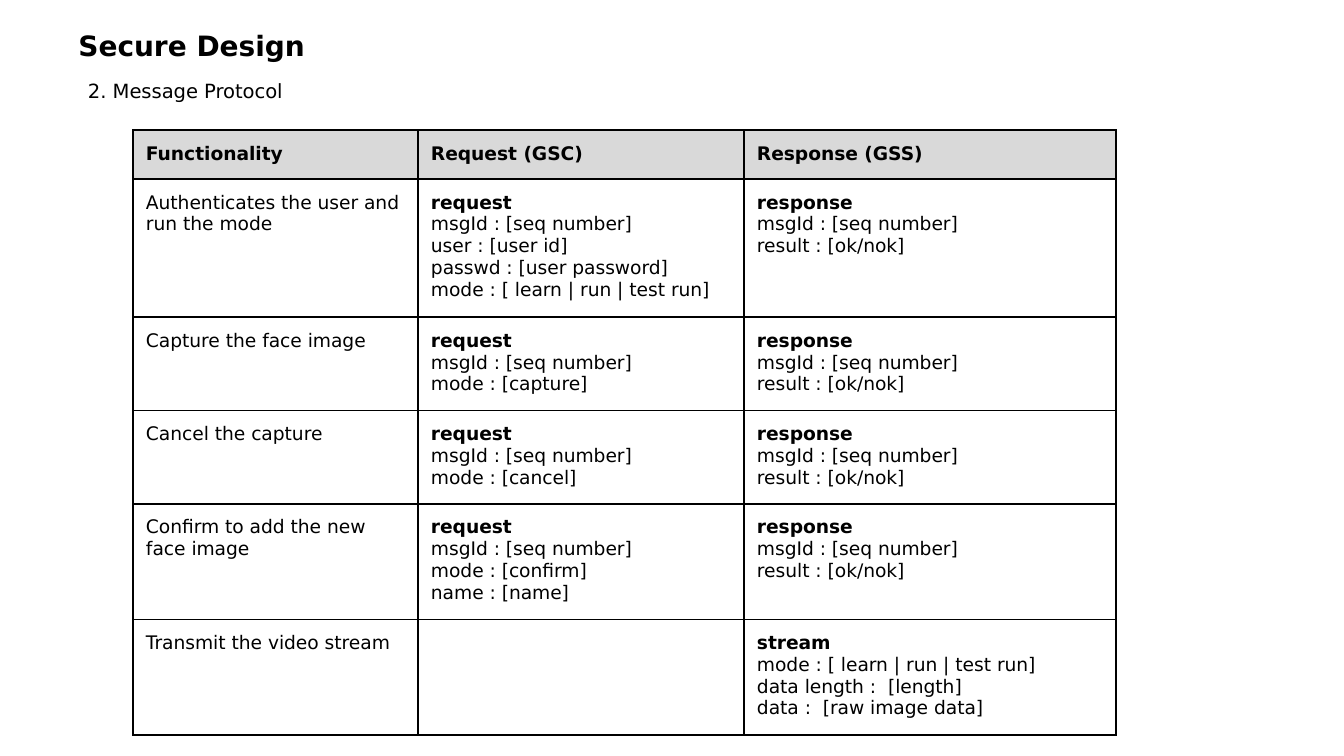
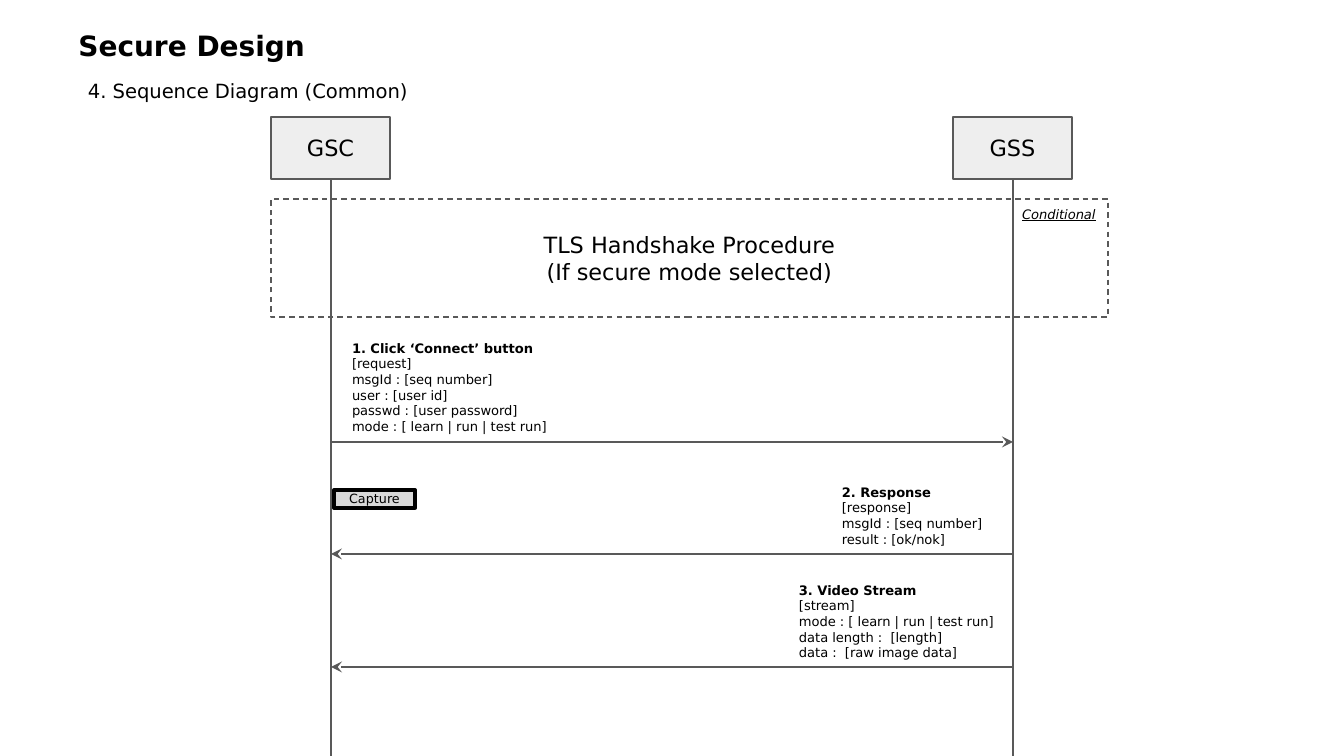
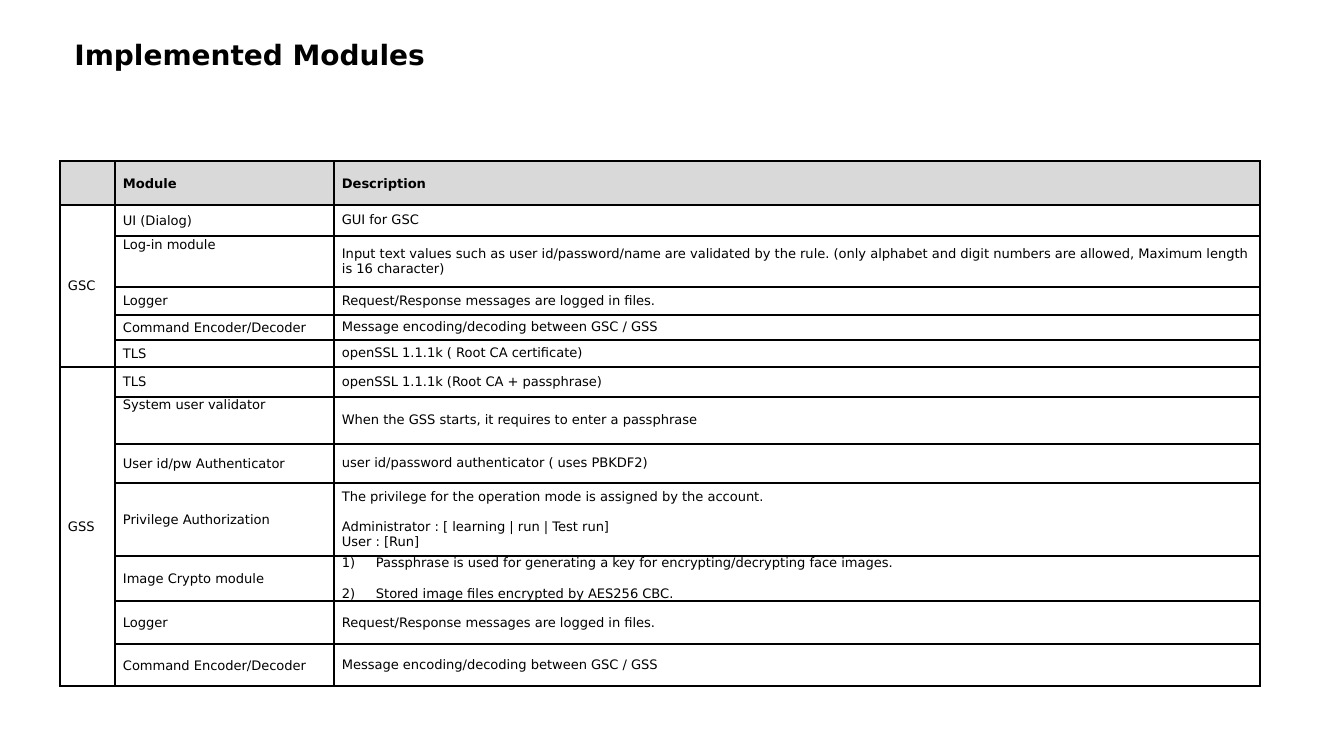
from lxml.etree import SubElement
from pptx import Presentation
from pptx.dml.color import RGBColor
from pptx.enum.dml import MSO_LINE
from pptx.enum.shapes import MSO_CONNECTOR, MSO_SHAPE
from pptx.enum.text import MSO_ANCHOR, MSO_AUTO_SIZE, PP_ALIGN
from pptx.oxml.ns import qn
from pptx.util import Emu, Pt

PIXELS_PER_INCH = 134.4
SLIDE_WIDTH, SLIDE_HEIGHT = 1344, 756
FONT = "DejaVu Sans"
BLACK = RGBColor(0x00, 0x00, 0x00)
WHITE = RGBColor(0xFF, 0xFF, 0xFF)
HEADER_GRAY = RGBColor(0xD9, 0xD9, 0xD9)
BOX_GRAY = RGBColor(0xEE, 0xEE, 0xEE)
LINE_GRAY = RGBColor(0x59, 0x59, 0x59)
WIDE_INSETS = (13, 13, 13, 13)
TIGHT_INSETS = (8, 0, 8, 0)
TITLE_ONLY_LAYOUT = 5

MESSAGE_ID = "msgId : [seq number]"
CONNECT_FIELDS = [MESSAGE_ID, "user : [user id]", "passwd : [user password]",
                  "mode : [ learn | run | test run]"]
REPLY_FIELDS = [MESSAGE_ID, "result : [ok/nok]"]
STREAM_FIELDS = ["mode : [ learn | run | test run]", "data length :  [length]",
                 "data :  [raw image data]"]
RESPONSE = ["response"] + REPLY_FIELDS

PROTOCOL_HEADER = ["Functionality", "Request (GSC)", "Response (GSS)"]
PROTOCOL_ROWS = [
    ("Authenticates the user and run the mode", ["request"] + CONNECT_FIELDS, RESPONSE),
    ("Capture the face image", ["request", MESSAGE_ID, "mode : [capture]"], RESPONSE),
    ("Cancel the capture", ["request", MESSAGE_ID, "mode : [cancel]"], RESPONSE),
    ("Confirm to add the new face image",
     ["request", MESSAGE_ID, "mode : [confirm]", "name : [name]"], RESPONSE),
    ("Transmit the video stream", [], ["stream"] + STREAM_FIELDS),
]

COMMON_MODULES = [
    ("Logger", ["Request/Response messages are logged in files."]),
    ("Command Encoder/Decoder", ["Message encoding/decoding between GSC / GSS"]),
]
GSC_MODULES = [
    ("UI (Dialog)", ["GUI for GSC"]),
    ("Log-in module", ["Input text values such as user id/password/name are validated by "
                       "the rule. (only alphabet and digit numbers are allowed, Maximum "
                       "length is 16 character)"]),
    *COMMON_MODULES,
    ("TLS", ["openSSL 1.1.1k ( Root CA certificate)"]),
]
GSS_MODULES = [
    ("TLS", ["openSSL 1.1.1k (Root CA + passphrase)"]),
    ("System user validator", ["When the GSS starts, it requires to enter a passphrase"]),
    ("User id/pw Authenticator", ["user id/password authenticator ( uses PBKDF2)"]),
    ("Privilege Authorization",
     ["The privilege for the operation mode is assigned by the account.",
      "Administrator : [ learning | run | Test run]", "User : [Run]"]),
    ("Image Crypto module",
     ["Passphrase is used for generating a key for encrypting/decrypting face images.",
      "Stored image files encrypted by AES256 CBC."]),
    *COMMON_MODULES,
]
TOP_ALIGNED_MODULES = {"Log-in module", "System user validator"}
NUMBERED_MODULE = "Image Crypto module"


def px(length):
    """Turn picture pixels into EMU."""
    return Emu(round(length * 914400 / PIXELS_PER_INCH))


def set_insets(target, insets):
    """Set the left, top, right and bottom margins of a text frame or cell."""
    (target.margin_left, target.margin_top,
     target.margin_right, target.margin_bottom) = map(px, insets)


def write_text(frame, lines, size, bold_lines=0, align=None, spacing=None,
               first_gap=None, italic=None, underline=None):
    """Write one paragraph per line; the first bold_lines are bold."""
    for index, line in enumerate(lines):
        paragraph = frame.paragraphs[0] if index == 0 else frame.add_paragraph()
        paragraph.alignment = align
        paragraph.line_spacing = spacing
        if first_gap and index == 0:
            paragraph.space_after = Pt(first_gap)
        run = paragraph.add_run()
        run.text = line
        font = run.font
        font.name, font.size = FONT, Pt(size)
        font.bold = index < bold_lines
        font.italic, font.underline = italic, underline
        font.color.rgb = BLACK


def number_paragraphs(frame):
    """Number the paragraphs of a frame as 1), 2) with a hanging indent."""
    for paragraph in frame.paragraphs:
        properties = paragraph._p.get_or_add_pPr()
        properties.set("marL", str(px(34)))
        properties.set("indent", str(px(-34)))
        SubElement(properties, qn("a:buAutoNum"), type="arabicParenR")


def add_titled_slide(presentation, title, left, top):
    """Add a slide with a bold title at the given place."""
    slide = presentation.slides.add_slide(presentation.slide_layouts[TITLE_ONLY_LAYOUT])
    shape = slide.shapes.title
    shape.left, shape.top, shape.width, shape.height = map(px, (left, top, 1159, 91))
    frame = shape.text_frame
    frame.auto_size = MSO_AUTO_SIZE.NONE
    frame.vertical_anchor = MSO_ANCHOR.TOP
    write_text(frame, [title], 15, bold_lines=1, align=PP_ALIGN.LEFT, spacing=0.9)
    return slide


def add_text(slide, box, lines, size, **style):
    """Add a wrapping text box that grows with its text."""
    frame = slide.shapes.add_textbox(*map(px, box)).text_frame
    frame.word_wrap = True
    frame.auto_size = MSO_AUTO_SIZE.SHAPE_TO_FIT_TEXT
    set_insets(frame, WIDE_INSETS)
    write_text(frame, lines, size, **style)


def add_design_slide(presentation, section):
    """Add a Secure Design slide with its section heading."""
    slide = add_titled_slide(presentation, "Secure Design", 65, 26)
    add_text(slide, (75, 67, 853, 51), [section], 10.5)
    return slide


def add_box(slide, box, lines, size, fill=None, line=LINE_GRAY, width=0.75,
            dash=None, insets=WIDE_INSETS):
    """Add an outlined rectangle with centred text."""
    shape = slide.shapes.add_shape(MSO_SHAPE.RECTANGLE, *map(px, box))
    shape.shadow.inherit = False
    if fill is None:
        shape.fill.background()
    else:
        shape.fill.solid()
        shape.fill.fore_color.rgb = fill
    shape.line.color.rgb = line
    shape.line.width = Pt(width)
    if dash:
        shape.line.dash_style = dash
    frame = shape.text_frame
    frame.word_wrap = True
    frame.vertical_anchor = MSO_ANCHOR.MIDDLE
    set_insets(frame, insets)
    write_text(frame, lines, size, align=PP_ALIGN.CENTER)


def add_line(slide, start, end, arrow=None):
    """Add a gray line; arrow names the end that carries an arrowhead."""
    connector = slide.shapes.add_connector(MSO_CONNECTOR.STRAIGHT, *map(px, start + end))
    connector.line.color.rgb = LINE_GRAY
    connector.line.width = Pt(0.75)
    properties = connector._element.spPr
    if arrow:
        SubElement(properties.find(qn("a:ln")), qn(f"a:{arrow}"), type="stealth")
    SubElement(properties, qn("a:effectLst"))


def format_cell(cell, insets, fill):
    """Give a cell black borders, margins and a fill."""
    properties = cell._tc.get_or_add_tcPr()
    for side in ("lnL", "lnR", "lnT", "lnB"):
        border = SubElement(properties, qn(f"a:{side}"), w=str(Pt(1)))
        solid = SubElement(border, qn("a:solidFill"))
        SubElement(solid, qn("a:srgbClr"), val=str(BLACK))
    set_insets(cell, insets)
    if fill is None:
        cell.fill.background()
    else:
        cell.fill.solid()
        cell.fill.fore_color.rgb = fill


def add_grid(slide, column_edges, row_edges, insets, body_fill=None):
    """Add an empty table with a gray header from its grid line positions."""
    widths = [b - a for a, b in zip(column_edges, column_edges[1:])]
    heights = [b - a for a, b in zip(row_edges, row_edges[1:])]
    box = column_edges[0], row_edges[0], sum(widths), sum(heights)
    table = slide.shapes.add_table(len(heights), len(widths), *map(px, box)).table
    table.first_row = table.horz_banding = False
    for column, width in zip(table.columns, widths):
        column.width = px(width)
    for index, (row, height) in enumerate(zip(table.rows, heights)):
        row.height = px(height)
        for cell in row.cells:
            format_cell(cell, insets, body_fill if index else HEADER_GRAY)
    return table


def build_protocol(presentation):
    """Build the message protocol table."""
    slide = add_design_slide(presentation, "2. Message Protocol")
    table = add_grid(slide, (133, 418, 744, 1116),
                     (130, 179, 315, 407, 499, 614, 728), WIDE_INSETS)
    for column, heading in enumerate(PROTOCOL_HEADER):
        write_text(table.cell(0, column).text_frame, [heading], 10, bold_lines=1)
    for row, (function, *messages) in enumerate(PROTOCOL_ROWS, 1):
        write_text(table.cell(row, 0).text_frame, [function], 10)
        for column, message in enumerate(messages, 1):
            write_text(table.cell(row, column).text_frame, message, 10, bold_lines=1)


def build_sequence(presentation):
    """Build the sequence diagram between GSC and GSS."""
    slide = add_design_slide(presentation, "4. Sequence Diagram (Common)")
    client, server = 331, 1013
    for name, center in (("GSC", client), ("GSS", server)):
        add_box(slide, (center - 60, 117, 119, 62), [name], 12, fill=BOX_GRAY)
        add_line(slide, (center, 179), (center, SLIDE_HEIGHT))

    messages = [
        (442, "tailEnd", (339, 327, 626, 122),
         ["1. Click ‘Connect’ button", "[request]"] + CONNECT_FIELDS),
        (554, "headEnd", (829, 471, 214, 90), ["2. Response", "[response]"] + REPLY_FIELDS),
        (667, "headEnd", (786, 569, 237, 106), ["3. Video Stream", "[stream]"] + STREAM_FIELDS),
    ]
    for y, arrow, box, lines in messages:
        add_text(slide, box, lines, 7, bold_lines=1)
        add_line(slide, (client, y), (server, y), arrow)

    add_box(slide, (271, 199, 837, 118),
            ["TLS Handshake Procedure", "(If secure mode selected)"], 12, dash=MSO_LINE.DASH)
    add_text(slide, (1009, 199, 112, 43), ["Conditional"], 7, italic=True, underline=True)
    add_box(slide, (334, 490, 81, 18), ["Capture"], 6.8, fill=HEADER_GRAY,
            line=BLACK, width=2, insets=TIGHT_INSETS)


def build_modules(presentation):
    """Build the table of implemented modules."""
    slide = add_titled_slide(presentation, "Implemented Modules", 61, 35)
    row_edges = (161, 205, 236, 287, 315, 340, 367, 397, 444, 483, 556, 601, 644, 686)
    table = add_grid(slide, (60, 115, 334, 1260), row_edges, TIGHT_INSETS, WHITE)
    for row in table.rows:
        for cell in row.cells:
            cell.vertical_anchor = MSO_ANCHOR.MIDDLE
    for column, heading in enumerate(("Module", "Description"), 1):
        write_text(table.cell(0, column).text_frame, [heading], 7, bold_lines=1, spacing=1.07)

    row = 1
    for group, modules in (("GSC", GSC_MODULES), ("GSS", GSS_MODULES)):
        group_cell = table.cell(row, 0)
        group_cell.merge(table.cell(row + len(modules) - 1, 0))
        write_text(group_cell.text_frame, [group], 7, spacing=1.07)
        for module, description in modules:
            module_cell, description_cell = table.cell(row, 1), table.cell(row, 2)
            write_text(module_cell.text_frame, [module], 7, spacing=1.07)
            write_text(description_cell.text_frame, description, 7, first_gap=8)
            if module in TOP_ALIGNED_MODULES:
                module_cell.vertical_anchor = MSO_ANCHOR.TOP
            if module == NUMBERED_MODULE:
                number_paragraphs(description_cell.text_frame)
            row += 1


def main():
    """Build and save the presentation."""
    presentation = Presentation()
    presentation.slide_width = px(SLIDE_WIDTH)
    presentation.slide_height = px(SLIDE_HEIGHT)
    build_protocol(presentation)
    build_sequence(presentation)
    build_modules(presentation)
    presentation.save("out.pptx")


main()
